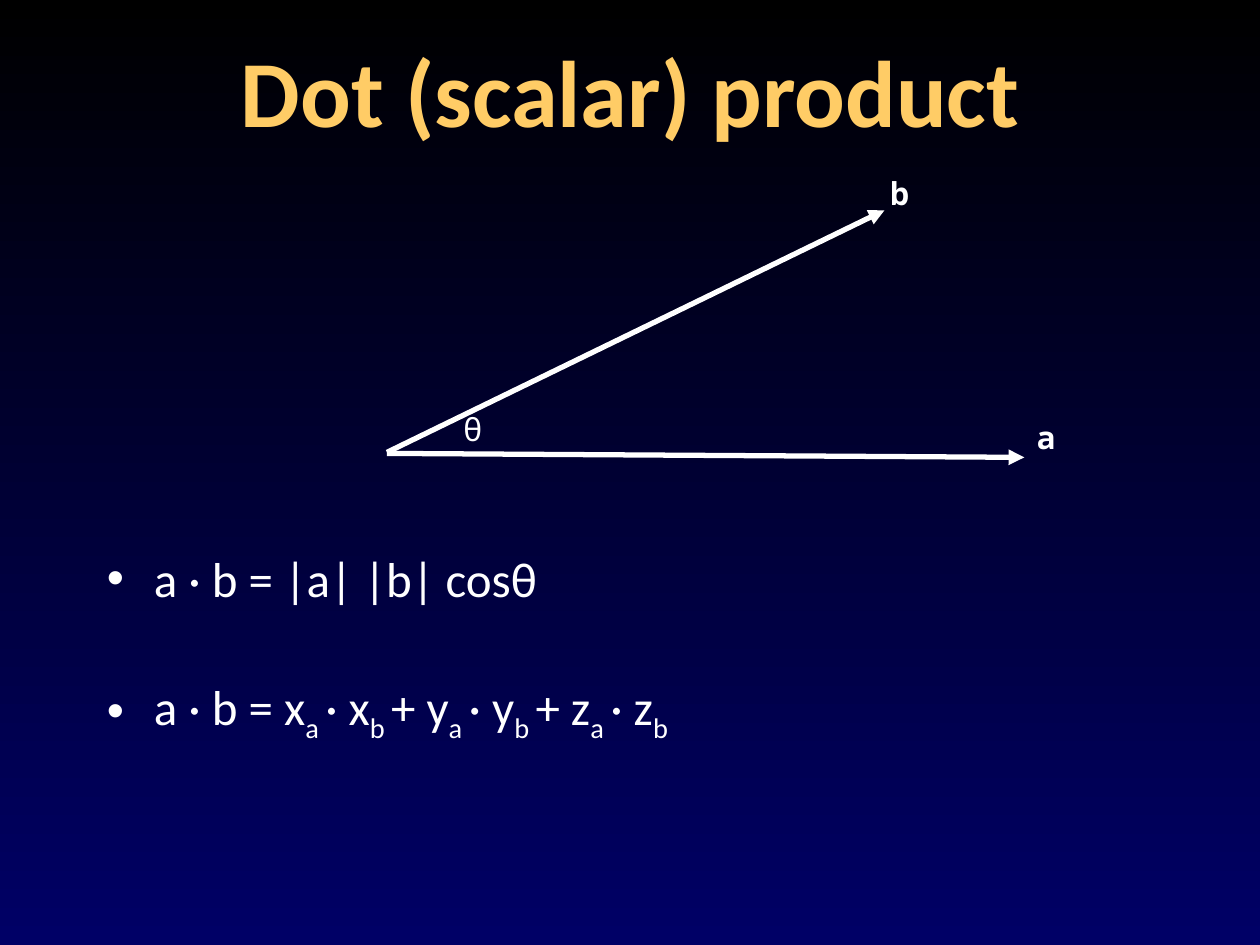
from dataclasses import dataclass

from lxml import etree
from pptx import Presentation
from pptx.dml.color import RGBColor
from pptx.enum.shapes import MSO_CONNECTOR
from pptx.enum.text import MSO_ANCHOR, MSO_AUTO_SIZE, PP_ALIGN
from pptx.oxml.ns import qn
from pptx.util import Cm, Pt

STRAIGHT = MSO_CONNECTOR.STRAIGHT
MIDDLE, TOP = MSO_ANCHOR.MIDDLE, MSO_ANCHOR.TOP
FIT_SHAPE, NO_FIT = MSO_AUTO_SIZE.SHAPE_TO_FIT_TEXT, MSO_AUTO_SIZE.NONE
CENTER, LEFT = PP_ALIGN.CENTER, PP_ALIGN.LEFT


@dataclass(frozen=True)
class Theme:
    sky_top: str = "000000"
    sky_bottom: str = "000066"
    heading: str = "FFCC66"
    ink: str = "FFFFFF"
    text_font: str = "Calibri"
    label_font: str = "Noto Sans Mono"
    title_size: int = 54
    formula_size: int = 28
    label_size: int = 18
    arrow_width: int = 3


def write(paragraph, text, *, font, size, color, bold=False, subscript=False):
    run = paragraph.add_run()
    run.text = text
    run.font.name = font
    run.font.size = Pt(size)
    run.font.bold = bold
    run.font.color.rgb = RGBColor.from_string(color)
    if subscript:
        run._r.get_or_add_rPr().set("baseline", "-25000")


def place(shape, left, top, width, height):
    shape.left, shape.top = Cm(left), Cm(top)
    shape.width, shape.height = Cm(width), Cm(height)


class VectorSlide:
    def __init__(self, deck, theme):
        self.theme = theme
        self.slide = deck.slides.add_slide(deck.slide_layouts[1])

    def background(self):
        fill = self.slide.background.fill
        fill.gradient()
        fill.gradient_angle = 270
        shades = (self.theme.sky_top, self.theme.sky_bottom)
        for position, (stop, shade) in enumerate(zip(fill.gradient_stops, shades)):
            stop.position = position
            stop.color.rgb = RGBColor.from_string(shade)

    def title(self, text, bounds):
        heading = self.slide.shapes.title
        place(heading, *bounds)
        frame = heading.text_frame
        frame.auto_size = NO_FIT
        frame.vertical_anchor = MIDDLE
        frame.paragraphs[0].alignment = CENTER
        write(frame.paragraphs[0], text, font=self.theme.text_font,
              size=self.theme.title_size, color=self.theme.heading, bold=True)

    def arrow(self, start, end):
        vector = self.slide.shapes.add_connector(
            STRAIGHT, *(Cm(value) for value in (*start, *end)))
        vector.line.color.rgb = RGBColor.from_string(self.theme.ink)
        vector.line.width = Pt(self.theme.arrow_width)
        etree.SubElement(vector.line._get_or_add_ln(), qn("a:tailEnd"), type="triangle")
        etree.SubElement(vector._element.spPr, qn("a:effectLst"))

    def label(self, text, bounds, bold=True):
        box = self.slide.shapes.add_textbox(*(Cm(value) for value in bounds))
        frame = box.text_frame
        frame.word_wrap = False
        frame.auto_size = FIT_SHAPE
        write(frame.paragraphs[0], text, font=self.theme.label_font,
              size=self.theme.label_size, color=self.theme.ink, bold=bold)

    def formulas(self, formulas, bounds, top_inset, gap, indent):
        body = self.slide.placeholders[1]
        place(body, *bounds)
        frame = body.text_frame
        frame.auto_size = NO_FIT
        frame.vertical_anchor = TOP
        frame.margin_top = Cm(top_inset)
        for index, parts in enumerate(formulas):
            line = frame.add_paragraph() if index else frame.paragraphs[0]
            line.alignment = LEFT
            line.space_before = Pt(gap if index else 0)
            properties = line._p.get_or_add_pPr()
            properties.set("marL", str(Cm(indent)))
            properties.set("indent", str(-Cm(indent)))
            etree.SubElement(properties, qn("a:buChar"), char="•")
            for position, part in enumerate(parts):
                write(line, part, font=self.theme.text_font,
                      size=self.theme.formula_size, color=self.theme.ink,
                      subscript=position % 2 == 1)


def main():
    deck = Presentation()
    deck.slide_width, deck.slide_height = Cm(25.4), Cm(19.05)
    page = VectorSlide(deck, Theme())
    page.background()
    page.title("Dot (scalar) product", (0.43, 0.43, 24.56, 2.74))
    page.arrow((7.8, 9.14), (20.65, 9.22))
    page.arrow((7.8, 9.12), (17.83, 4.24))
    page.label("a", (20.65, 8.31, 1.02, 1.45))
    page.label("b", (17.7, 3.38, 1.07, 1.45))
    page.label("θ", (9.09, 8.15, 0.84, 1.02), bold=False)
    page.formulas(
        [
            ["a · b = |a| |b| cosθ"],
            ["a · b = x", "a ", "· x", "b ", "+ y", "a ", "· y", "b ",
             "+ z", "a ", "· z", "b"],
        ],
        (1.9, 9.53, 21.59, 9.5), top_inset=1.52, gap=40, indent=0.95)
    deck.save("out.pptx")


if __name__ == "__main__":
    main()
